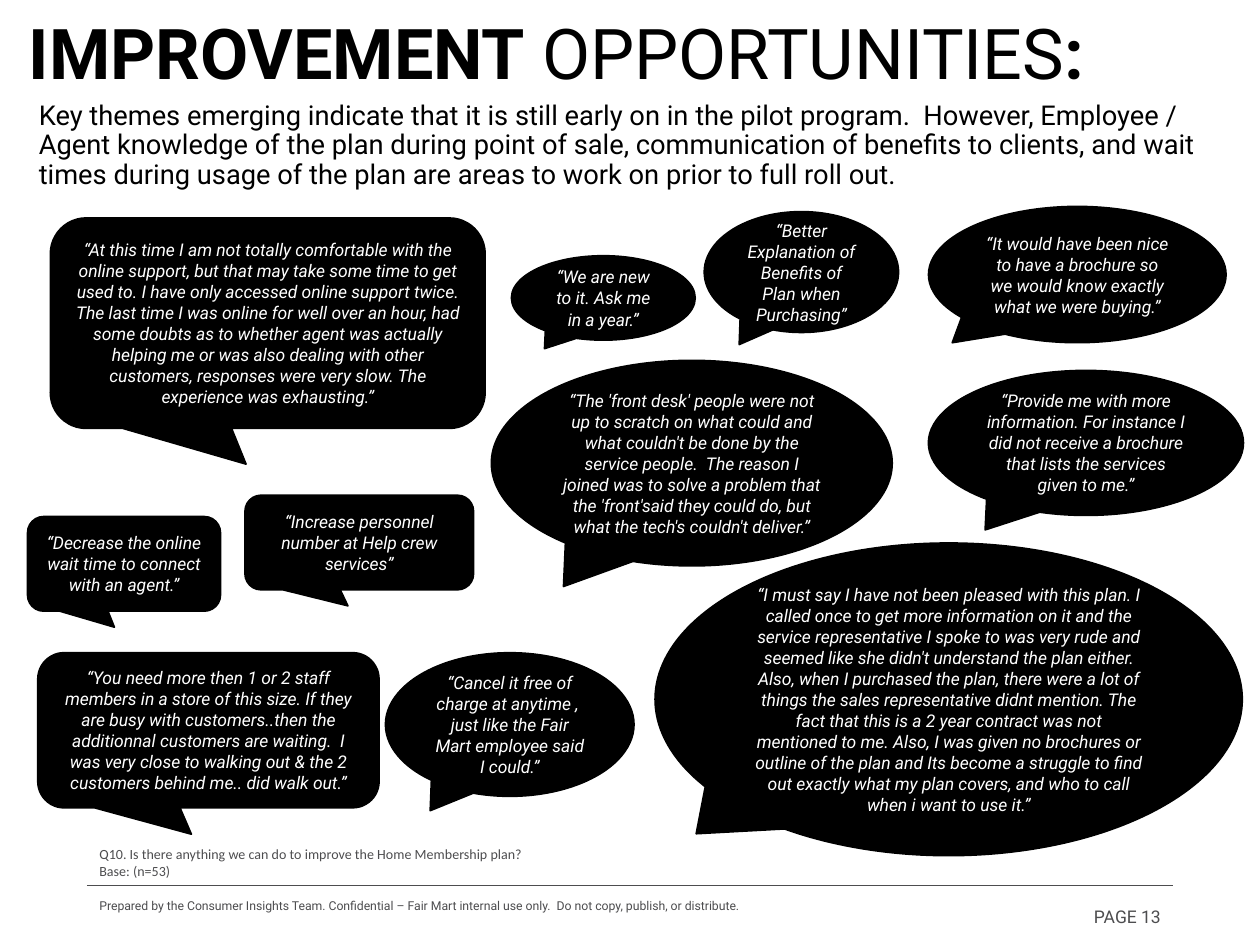
from lxml import etree
from pptx import Presentation
from pptx import util as u
from pptx.dml import color
from pptx.enum import shapes, text
from pptx.oxml import ns

BLACK, WHITE, GRAY = "000000", "FFFFFF", "4D4D4F"
OVAL = shapes.MSO_SHAPE.OVAL_CALLOUT
ROUNDED = shapes.MSO_SHAPE.ROUNDED_RECTANGULAR_CALLOUT
TAIL = {OVAL: (-0.32, 0.6), ROUNDED: (-0.05, 0.67, 0.17)}


def rgb(value):
    return color.RGBColor.from_string(value)


class QuoteSlide:
    """Holds the slide and the style of its quotes, texts and rule."""

    def __init__(self, slide, font="Roboto"):
        self.slide = slide
        self.font = font

    def style(self, run, size, ink, bold=False, italic=False, font=None):
        run.font.name = font or self.font
        run.font.size = u.Pt(size)
        run.font.color.rgb = rgb(ink)
        run.font.bold = bold
        run.font.italic = italic

    def text(self, box, lines, size, ink=GRAY, font=None, spacing=None,
             align=text.PP_ALIGN.LEFT, anchor=text.MSO_ANCHOR.MIDDLE):
        frame = self.slide.shapes.add_textbox(*map(u.Pt, box)).text_frame
        frame.word_wrap = True
        frame.vertical_anchor = anchor
        for index, pieces in enumerate(lines):
            line = frame.add_paragraph() if index else frame.paragraphs[0]
            line.alignment = align
            line.line_spacing = spacing
            for words, bold in pieces:
                run = line.add_run()
                run.text = words
                self.style(run, size, ink, bold, font=font)

    def quote(self, kind, box, words, tail=None):
        bubble = self.slide.shapes.add_shape(kind, *map(u.Pt, box))
        bubble.shadow.inherit = False
        for index, value in enumerate(tail or TAIL[kind]):
            bubble.adjustments[index] = value
        bubble.fill.solid()
        bubble.fill.fore_color.rgb = rgb(BLACK)
        bubble.line.color.rgb = rgb(BLACK)
        bubble.line.width = u.Pt(1)
        frame = bubble.text_frame
        frame.word_wrap = True
        frame.vertical_anchor = text.MSO_ANCHOR.MIDDLE
        frame.text = f"\u201c{words}\u201d"
        frame.paragraphs[0].alignment = text.PP_ALIGN.CENTER
        self.style(frame.paragraphs[0].runs[0], 10, WHITE, italic=True)

    def rule(self, left, right, top):
        line = self.slide.shapes.add_connector(
            shapes.MSO_CONNECTOR.STRAIGHT, u.Pt(left), u.Pt(top), u.Pt(right), u.Pt(top))
        line.line.color.rgb = rgb(GRAY)
        line.line.width = u.Pt(0.5)
        etree.SubElement(line._element.spPr, ns.qn("a:effectLst"))


QUOTES = [
    (OVAL, (402.5, 121, 111, 69), "Better Explanation of Benefits of Plan when Purchasing"),
    (ROUNDED, (28.8, 124.6, 248.4, 120.2),
     "At this time I am not totally comfortable with the online support, but that may take "
     "some time to get used to. I have only accessed online support twice. The last time I "
     "was online for well over an hour, had some doubts as to whether agent was actually "
     "helping me or was also dealing with other customers, responses were very slow. The "
     "experience was exhausting."),
    (OVAL, (530.6, 118, 170, 77.8),
     "It would have been nice to have a brochure so we would know exactly what we were buying.",
     (-0.42, 0.5)),
    (ROUNDED, (15.8, 295.2, 110.2, 54), "Decrease the online wait time to connect with an agent."),
    (OVAL, (374.4, 310.3, 335.5, 178.6),
     "I must say I have not been pleased with this plan. I called once to get more information "
     "on it and the service representative I spoke to was very rude and seemed like she didn't "
     "understand the plan either. Also, when I purchased the plan, there were a lot of things "
     "the sales representative didnt mention. The fact that this is a 2 year contract was not "
     "mentioned to me. Also, I was given no brochures or outline of the plan and Its become a "
     "struggle to find out exactly what my plan covers, and who to call when i want to use it.",
     (-0.43, 0.43)),
    (OVAL, (530.6, 211.7, 180, 82.8),
     "Provide me with more information. For instance I did not receive a brochure that lists "
     "the services given to me."),
    (OVAL, (292.3, 146.2, 105, 48.2), "We are new to it. Ask me in a year."),
    (ROUNDED, (21.6, 373, 195, 88.6),
     "You need more then 1 or 2 staff members in a store of this size. If they are busy with "
     "customers..then the additionnal customers are waiting.  I was very close to walking out "
     "& the 2 customers behind me.. did walk out."),
    (OVAL, (220.3, 373, 142, 82),
     "Cancel it free of charge at anytime ,  just like the Fair Mart employee said I could."),
    (OVAL, (280.8, 206, 229, 117.4),
     "The 'front desk' people were not up to scratch on what could and what couldn't be done "
     "by the service people.  The reason I joined was to solve a problem that the 'front'said "
     "they could do, but what the tech's couldn't deliver."),
    (ROUNDED, (140, 283, 130.6, 54), "Increase personnel number at Help crew services"),
]

deck = Presentation()
deck.slide_width, deck.slide_height = u.Pt(720), u.Pt(540)
page = QuoteSlide(deck.slides.add_slide(deck.slide_layouts[6]))

page.rule(49.7, 670.3, 506.2)
page.text((9.4, 2.2, 701.3, 60.5),
          [[("IMPROVEMENT", True), (" OPPORTUNITIES", False), (":", True)]],
          40, BLACK, spacing=0.9)
page.text((49.7, 506.2, 459.4, 23),
          [[("Prepared by the Consumer Insights Team. Confidential \u2013 Fair Mart internal use "
             "only.  Do not copy, publish, or distribute.", False)]], 7)
page.text((508.3, 512.2, 162, 23), [[("PAGE 13", False)]], 10, align=text.PP_ALIGN.RIGHT)
page.text((49.7, 479.5, 620.6, 26.6),
          [[("Q10. Is there anything we can do to improve the Home Membership plan?", False)],
           [("Base: (n=53)", False)]],
          8, font="Calibri", anchor=text.MSO_ANCHOR.TOP)
for quote in QUOTES:
    page.quote(*quote)
page.text((15.1, 49.7, 695.5, 67.7),
          [[("Key themes emerging indicate that it is still early on in the pilot program.  "
             "However, Employee / Agent knowledge of the plan during point of sale, "
             "communication of benefits to clients, and wait times during usage of the plan "
             "are areas to work on prior to full roll out.", False)]],
          15.6, BLACK, spacing=0.9)

deck.save("out.pptx")
